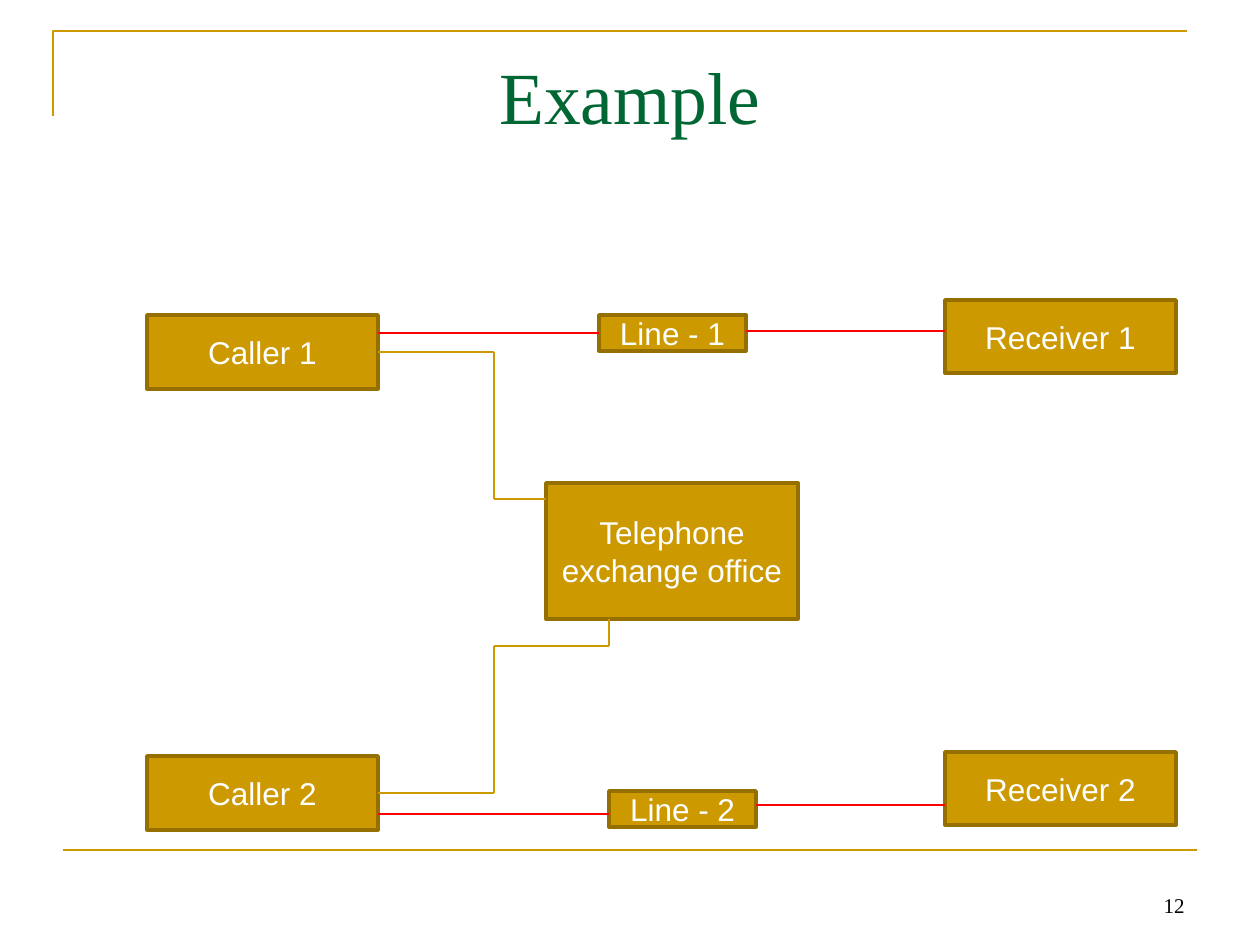
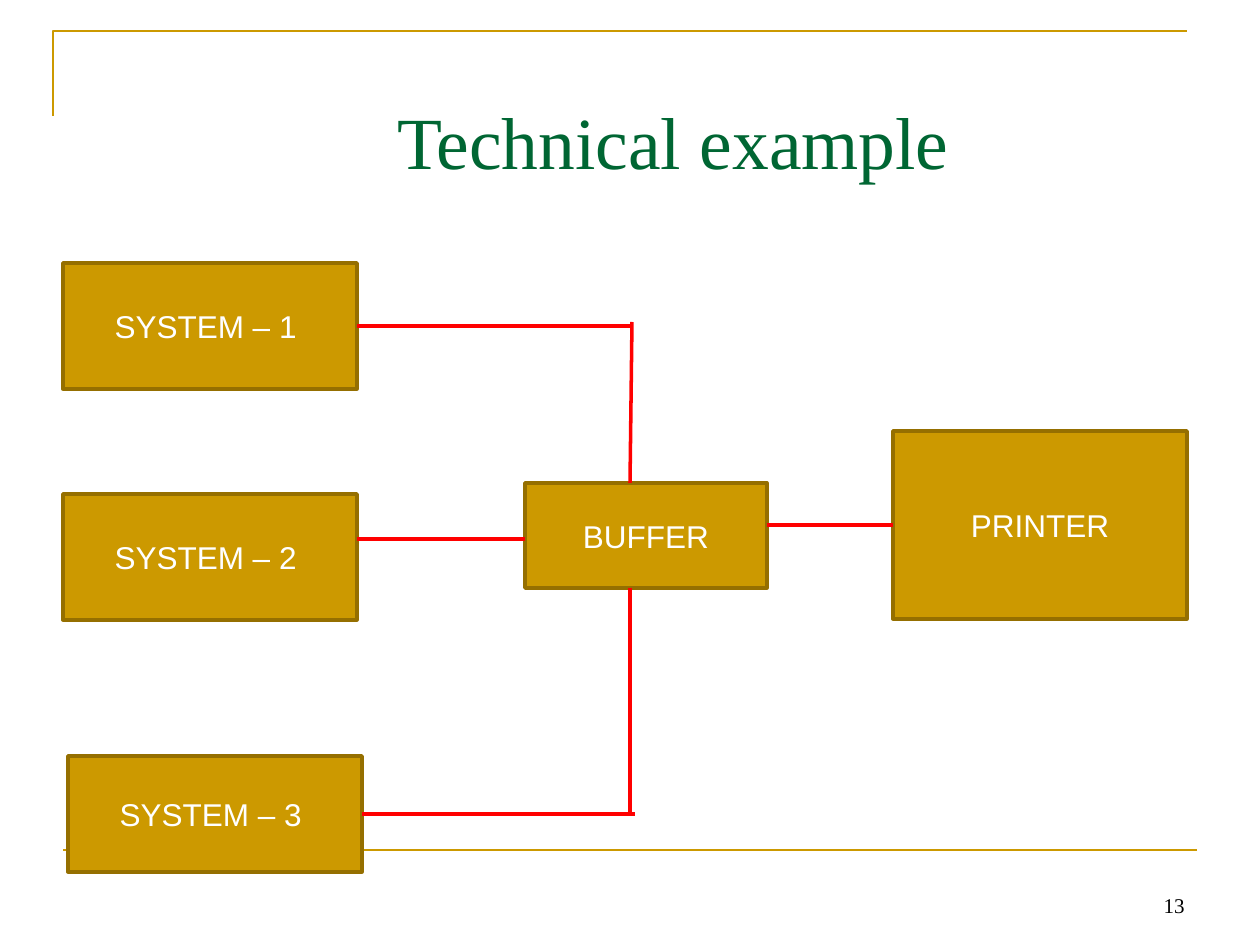
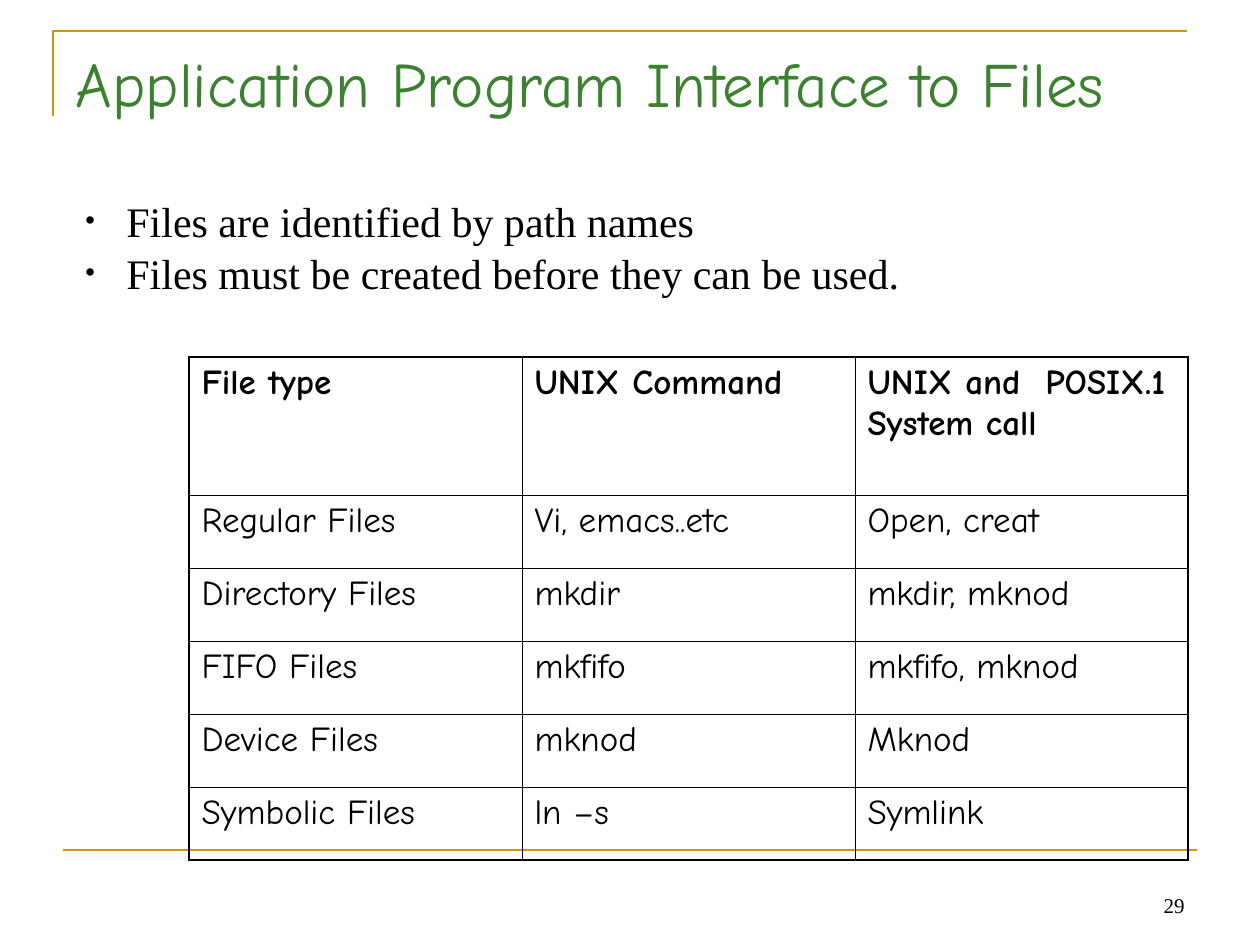
"""Builds three slides on telephone lines, print buffering and file interfaces."""
import itertools

import lxml.etree
import pptx
import pptx.dml.color
import pptx.enum.shapes
import pptx.enum.text
import pptx.oxml.ns
import pptx.util

SCALE = 914400 / 126
COLORS = {"gold": "CC9900", "brown": "956F00", "red": "FF0000", "green": "006633",
          "leaf": "3B812F", "black": "000000", "white": "FFFFFF"}
SERIF, SANS, COMIC = "Times New Roman", "Arial", "Comic Neue"
ALIGN = pptx.enum.text.PP_ALIGN
ANCHOR = pptx.enum.text.MSO_ANCHOR
RIGHT, LEFT = 3, 1


def px(length):
    """Turn whole pixels into EMU."""
    return pptx.util.Emu(round(length * SCALE))


def color(name):
    """Look up a named colour."""
    return pptx.dml.color.RGBColor.from_string(COLORS[name])


def add_xml(parent, tag, **attributes):
    """Append a drawing element to a parent."""
    return lxml.etree.SubElement(parent, pptx.oxml.ns.qn(tag), **attributes)


class SlideBuilder:
    """Holds the style and the current slide."""

    def __init__(self):
        """Open an empty deck."""
        self.deck = pptx.Presentation()
        self.deck.slide_width, self.deck.slide_height = px(1260), px(945)
        self.page = None

    def add_span(self, para, text, font, size, ink, align=ALIGN.LEFT, bold=False):
        """Add one formatted run to a paragraph."""
        para.alignment = align
        span = para.add_run()
        span.text = text
        span.font.name, span.font.size, span.font.bold = font, pptx.util.Pt(size), bold
        span.font.color.rgb = color(ink)

    def stroke(self, shape, ink, width):
        """Set the line of a shape or connector."""
        shape.line.color.rgb = color(ink)
        shape.line.width = pptx.util.Pt(width)

    def start_page(self, number):
        """Add a slide with its frame lines and number."""
        self.page = self.deck.slides.add_slide(self.deck.slide_layouts[5])
        outline = self.page.shapes.build_freeform(53, 116, SCALE)
        outline.add_line_segments([(53, 31), (1187, 31)], close=False)
        corner = outline.convert_to_shape()
        corner.shadow.inherit = False
        corner.fill.background()
        self.stroke(corner, "gold", 1.5)
        self.wire([(63, 850), (1197, 850)], "gold", 1.5)
        frame = self.text_box(903, 861, 294, 63)
        frame.vertical_anchor = ANCHOR.BOTTOM
        self.add_span(frame.paragraphs[0], str(number), SERIF, 12, "black", ALIGN.RIGHT)

    def title(self, text, left, top, width, font=SERIF, size=42, ink="green", align=ALIGN.CENTER):
        """Place and fill the title placeholder."""
        box = self.page.shapes.title
        box.left, box.top, box.width, box.height = px(left), px(top), px(width), px(158)
        frame = box.text_frame
        frame.auto_size = pptx.enum.text.MSO_AUTO_SIZE.NONE
        frame.vertical_anchor = ANCHOR.TOP
        frame.margin_top = px(13)
        self.add_span(frame.paragraphs[0], text, font, size, ink, align)

    def text_box(self, left, top, width, height):
        """Add a wrapping text box and return its frame."""
        box = self.page.shapes.add_textbox(px(left), px(top), px(width), px(height))
        box.text_frame.word_wrap = True
        return box.text_frame

    def node(self, text, left, top, width, height):
        """Add a labelled gold rectangle."""
        box = self.page.shapes.add_shape(pptx.enum.shapes.MSO_SHAPE.RECTANGLE,
                                         px(left), px(top), px(width), px(height))
        box.shadow.inherit = False
        box.fill.solid()
        box.fill.fore_color.rgb = color("gold")
        self.stroke(box, "brown", 2)
        box.text_frame.word_wrap = True
        box.text_frame.vertical_anchor = ANCHOR.MIDDLE
        self.add_span(box.text_frame.paragraphs[0], text, SANS, 18, "white", ALIGN.CENTER)
        return box

    def wire(self, points, ink, width, start=None, end=None):
        """Run straight connectors through points, joined to boxes at the ends if given."""
        lines = []
        for (x1, y1), (x2, y2) in itertools.pairwise(points):
            line = self.page.shapes.add_connector(pptx.enum.shapes.MSO_CONNECTOR.STRAIGHT,
                                                  px(x1), px(y1), px(x2), px(y2))
            self.stroke(line, ink, width)
            add_xml(line._element.spPr, "a:effectLst")
            lines.append(line)
        if start:
            lines[0].begin_connect(start, RIGHT)
        if end:
            lines[-1].end_connect(end, LEFT)

    def bullets(self, items, left, top, width, height):
        """Add a bulleted list."""
        frame = self.text_box(left, top, width, height)
        for index, item in enumerate(items):
            para = frame.add_paragraph() if index else frame.paragraphs[0]
            self.add_span(para, item, SERIF, 24, "black")
            para.space_before = pptx.util.Pt(1)
            settings = para._p.get_or_add_pPr()
            settings.set("marL", str(px(41)))
            settings.set("indent", str(-px(41)))
            add_xml(settings, "a:buSzPct", val="65000")
            add_xml(settings, "a:buFont", typeface=SANS)
            add_xml(settings, "a:buChar", char="•")

    def border(self, cell, outer_sides):
        """Draw heavy lines on the outer sides of a cell and thin ones elsewhere."""
        settings = cell._tc.get_or_add_tcPr()
        for index, side in enumerate("LRTB"):
            width = pptx.util.Pt(1.08 if side in outer_sides else 0.45)
            line = add_xml(settings, f"a:ln{side}", w=str(width))
            fill = add_xml(line, "a:solidFill")
            add_xml(fill, "a:srgbClr", val=COLORS["black"])
            settings.insert(index, line)

    def table(self, rows, left, top, column_width, header_height, row_height):
        """Add a ruled table whose first row is bold."""
        last_row, last_column = len(rows) - 1, len(rows[0]) - 1
        grid = self.page.shapes.add_table(
            len(rows), len(rows[0]), px(left), px(top), px(column_width * len(rows[0])),
            px(header_height + row_height * last_row)).table
        grid.first_row = grid.horz_banding = False
        for column in grid.columns:
            column.width = px(column_width)
        for r, texts in enumerate(rows):
            grid.rows[r].height = px(row_height if r else header_height)
            for c, text in enumerate(texts):
                cell = grid.cell(r, c)
                cell.fill.background()
                para = cell.text_frame.paragraphs[0]
                para.space_before = pptx.util.Pt(5)
                self.add_span(para, text, COMIC, 20, "black", bold=r == 0)
                edges = {"L": c == 0, "R": c == last_column, "T": r == 0, "B": r == last_row}
                self.border(cell, [side for side, outer in edges.items() if outer])


def telephone_page(builder):
    """Build the telephone exchange diagram."""
    builder.start_page(12)
    builder.title("Example", 63, 38, 1134)
    caller_1 = builder.node("Caller 1", 147, 315, 231, 74)
    caller_2 = builder.node("Caller 2", 147, 756, 231, 74)
    builder.node("Receiver 1", 945, 300, 231, 73)
    builder.node("Receiver 2", 945, 752, 231, 73)
    builder.node("Telephone exchange office", 546, 483, 252, 136)
    line_1 = builder.node("Line - 1", 599, 315, 147, 36)
    builder.node("Line - 2", 609, 791, 147, 36)
    builder.wire([(378, 352), (494, 352), (494, 499), (546, 499)], "gold", 0.75, start=caller_1)
    builder.wire([(378, 793), (494, 793), (494, 646), (609, 646), (609, 619)], "gold", 0.75,
                 start=caller_2)
    builder.wire([(378, 333), (599, 333)], "red", 0.75, end=line_1)
    for x1, x2, y in [(746, 945, 331), (378, 609, 814), (756, 945, 805)]:
        builder.wire([(x1, y), (x2, y)], "red", 0.75)


def printer_page(builder):
    """Build the print buffer diagram."""
    builder.start_page(13)
    builder.title("Technical example", 106, 83, 1134)
    printer = builder.node("PRINTER", 893, 431, 294, 188)
    system_1 = builder.node("SYSTEM – 1 ", 63, 263, 294, 126)
    builder.node("SYSTEM – 2 ", 63, 494, 294, 126)
    system_3 = builder.node("SYSTEM – 3 ", 68, 756, 294, 116)
    builder.node("BUFFER", 525, 483, 242, 105)
    builder.wire([(357, 326), (631, 326)], "red", 2, start=system_1)
    builder.wire([(632, 322), (630, 483)], "red", 2)
    builder.wire([(357, 539), (525, 539)], "red", 2)
    builder.wire([(362, 814), (635, 814)], "red", 2, start=system_3)
    builder.wire([(630, 588), (630, 814)], "red", 2)
    builder.wire([(767, 525), (893, 525)], "red", 2, end=printer)


def files_page(builder):
    """Build the file interface list and table."""
    builder.start_page(29)
    builder.title("Application Program Interface to Files", 63, 31, 1071,
                  COMIC, 36, "leaf", ALIGN.LEFT)
    builder.bullets(["Files are identified by path names",
                     "Files must be created before they can be used."], 73, 189, 1144, 164)
    builder.table([
        ["File type", "UNIX Command", "UNIX and  POSIX.1 System call"],
        ["Regular Files", "Vi, emacs..etc", "Open, creat"],
        ["Directory Files", "mkdir", "mkdir, mknod"],
        ["FIFO Files", "mkfifo", "mkfifo, mknod"],
        ["Device Files", "mknod", "Mknod"],
        ["Symbolic Files", "ln –s", "Symlink"],
    ], 189, 357, 333, 138, 73)


def main():
    """Build every page and save the deck."""
    builder = SlideBuilder()
    telephone_page(builder)
    printer_page(builder)
    files_page(builder)
    builder.deck.save("out.pptx")


if __name__ == "__main__":
    main()
